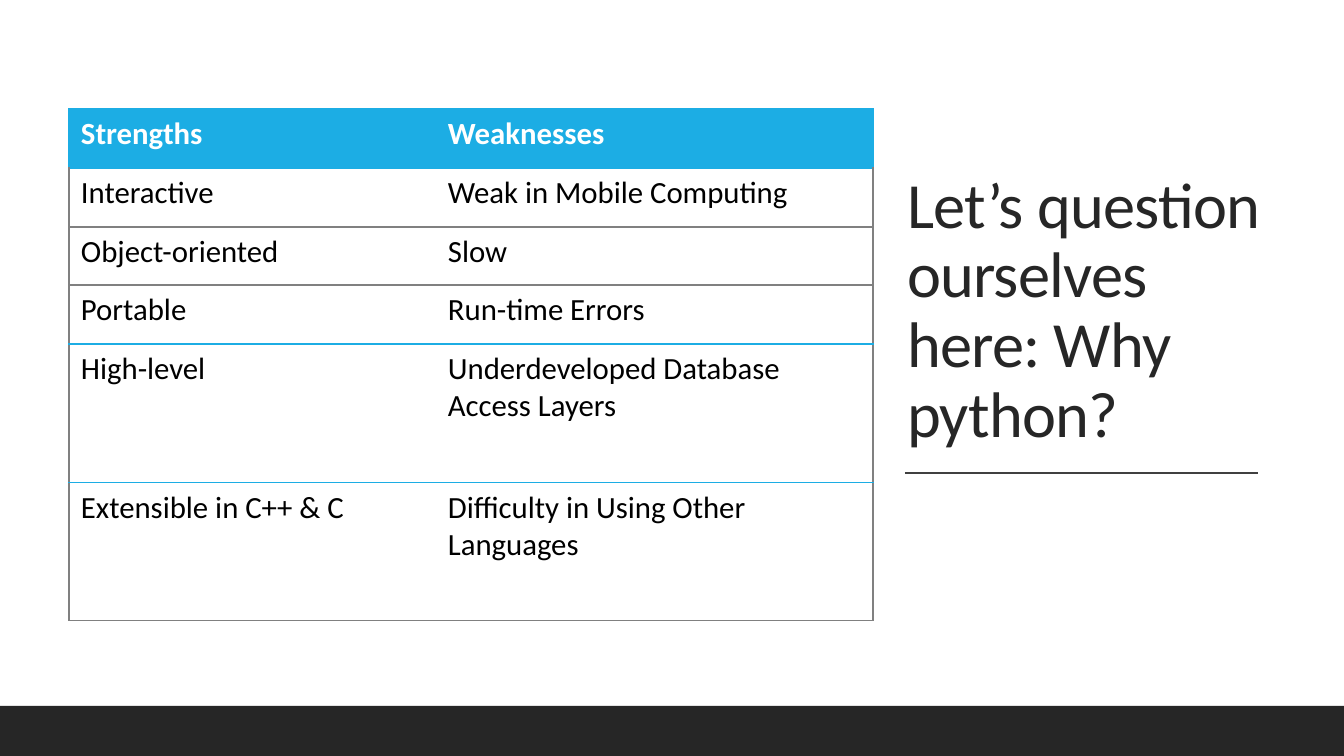
from dataclasses import dataclass

from lxml.etree import SubElement
from pptx import Presentation
from pptx.dml.color import RGBColor
from pptx.enum.shapes import MSO_CONNECTOR as Connector, MSO_SHAPE as Preset
from pptx.enum.text import MSO_ANCHOR as Anchor, MSO_AUTO_SIZE as AutoSize, PP_ALIGN as Align
from pptx.oxml.ns import qn
from pptx.slide import Slide
from pptx.table import _Cell as Cell
from pptx.text.text import _Paragraph as Paragraph, _Run as Run
from pptx.util import Emu, Pt

EMU_PER_PIXEL = 914400 / 100.8
FONT = "Calibri"
ACCENT, GRAY, DARK, WHITE, BLACK = "1CADE4", "808080", "262626", "FFFFFF", "000000"
COLUMN_WIDTHS = (367, 437)


@dataclass(frozen=True)
class ComparisonRow:
    strength: str
    weakness: str
    height: int
    top_line: str
    bottom_line: str
    side_line: str = GRAY
    fill: str = WHITE
    text_color: str = BLACK
    bold: bool = False


ROWS = (
    ComparisonRow("Strengths", "Weaknesses", 59, ACCENT, ACCENT, ACCENT, ACCENT, WHITE, True),
    ComparisonRow("Interactive", "Weak in Mobile Computing", 59, ACCENT, GRAY),
    ComparisonRow("Object-oriented", "Slow", 58, GRAY, GRAY),
    ComparisonRow("Portable", "Run-time Errors", 59, GRAY, ACCENT),
    ComparisonRow("High-level", "Underdeveloped Database Access Layers", 139, ACCENT, ACCENT),
    ComparisonRow("Extensible in C++ & C", "Difficulty in Using Other Languages", 138, ACCENT, GRAY),
)


def px(pixels: int) -> Emu:
    return Emu(round(pixels * EMU_PER_PIXEL))


def color(value: str) -> RGBColor:
    return RGBColor.from_string(value)


def add_run(paragraph: Paragraph, text: str, size: int, text_color: str, bold: bool = False) -> Run:
    run = paragraph.add_run()
    run.text = text
    run.font.name = FONT
    run.font.size = Pt(size)
    run.font.bold = bold
    run.font.color.rgb = color(text_color)
    return run


def add_border(cell: Cell, side: str, line_color: str | None) -> None:
    line = SubElement(cell._tc.get_or_add_tcPr(), qn(f"a:ln{side}"), w=str(Pt(1)))
    if line_color is None:
        SubElement(line, qn("a:noFill"))
    else:
        SubElement(SubElement(line, qn("a:solidFill")), qn("a:srgbClr"), val=line_color)


def fill_cell(cell: Cell, row: ComparisonRow, column: int) -> None:
    cell.margin_left = cell.margin_right = px(12)
    cell.margin_top = cell.margin_bottom = px(6)
    add_border(cell, "L", row.side_line if column == 0 else None)
    add_border(cell, "R", row.side_line if column == 1 else None)
    add_border(cell, "T", row.top_line)
    add_border(cell, "B", row.bottom_line)
    cell.fill.solid()
    cell.fill.fore_color.rgb = color(row.fill)
    text = (row.strength, row.weakness)[column]
    add_run(cell.text_frame.paragraphs[0], text, 22, row.text_color, row.bold)


def add_comparison(slide: Slide) -> None:
    height = sum(row.height for row in ROWS)
    shape = slide.shapes.add_table(
        len(ROWS), len(COLUMN_WIDTHS), px(69), px(109), px(sum(COLUMN_WIDTHS)), px(height)
    )
    table = shape.table
    table.horz_banding = False
    for column, width in enumerate(COLUMN_WIDTHS):
        table.columns[column].width = px(width)
    for index, row in enumerate(ROWS):
        table.rows[index].height = px(row.height)
        for column in range(len(COLUMN_WIDTHS)):
            fill_cell(table.cell(index, column), row, column)


def format_title(slide: Slide) -> None:
    title = slide.shapes.title
    title.left, title.top, title.width, title.height = px(897), px(71), px(375), px(385)
    frame = title.text_frame
    frame.word_wrap = True
    frame.auto_size = AutoSize.NONE
    frame.vertical_anchor = Anchor.BOTTOM
    paragraph = frame.paragraphs[0]
    paragraph.alignment = Align.LEFT
    paragraph.line_spacing = 0.9
    run = add_run(paragraph, "Let’s question ourselves here: Why python?", 46, DARK)
    run._r.get_or_add_rPr().set("spc", "-50")


def add_title_rule(slide: Slide) -> None:
    rule = slide.shapes.add_connector(Connector.STRAIGHT, px(905), px(473), px(1258), px(473))
    rule.line.color.rgb = color("404040")
    rule.line.width = Pt(1)
    SubElement(rule._element.spPr, qn("a:effectLst"))


def add_footer_band(slide: Slide) -> None:
    band = slide.shapes.add_shape(Preset.RECTANGLE, px(0), px(706), px(1344), px(50))
    band.shadow.inherit = False
    band.fill.solid()
    band.fill.fore_color.rgb = color(DARK)
    band.line.fill.background()


presentation = Presentation()
presentation.slide_width, presentation.slide_height = px(1344), px(756)
slide = presentation.slides.add_slide(presentation.slide_layouts[5])
slide.background.fill.solid()
slide.background.fill.fore_color.rgb = color(WHITE)
format_title(slide)
add_title_rule(slide)
add_footer_band(slide)
add_comparison(slide)
presentation.save("out.pptx")
